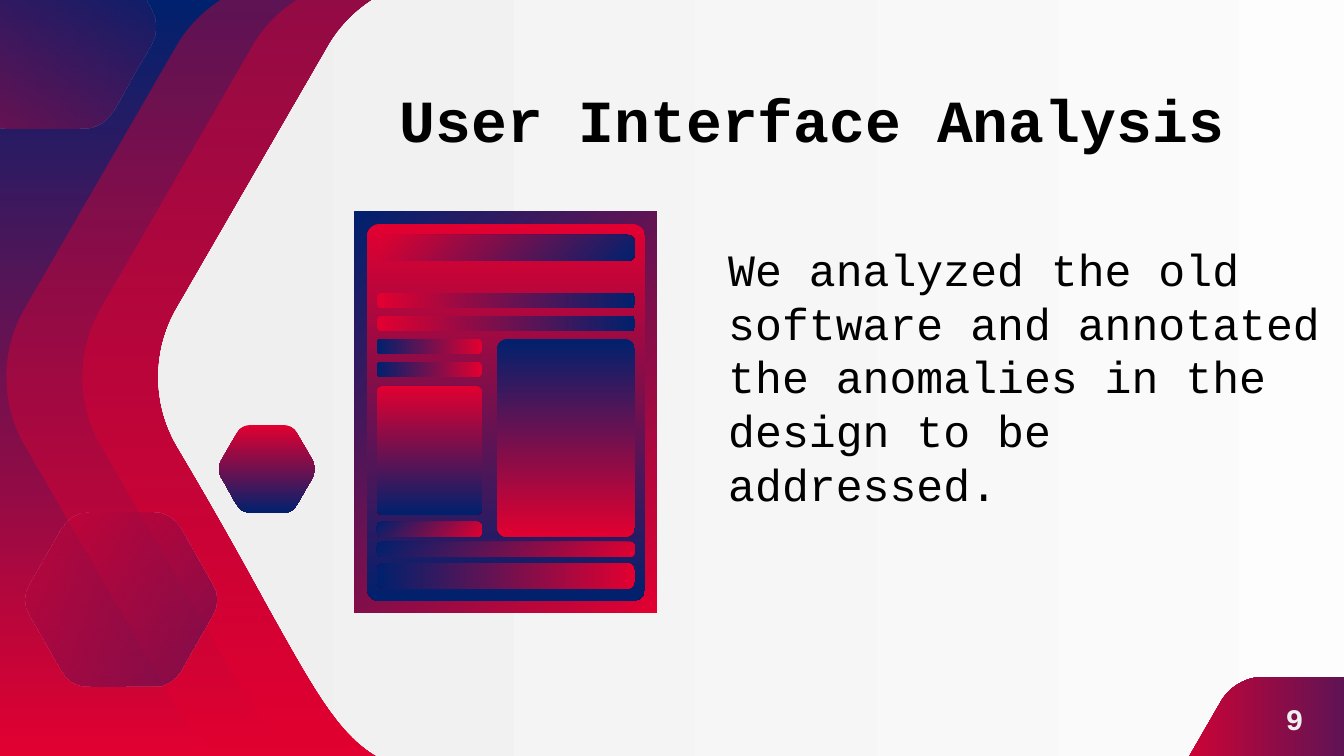
from lxml.etree import SubElement
from pptx import Presentation
from pptx.dml.color import RGBColor
from pptx.enum.shapes import MSO_SHAPE
from pptx.enum.text import MSO_ANCHOR, MSO_AUTO_SIZE, PP_ALIGN
from pptx.oxml.ns import qn
from pptx.util import Pt

PX = 9144000 / 1344
RED, BLUE = "E20030", "00216E"
WHITE, GREY = "FFFFFF", "EFEFEF"

# Rounded hexagon in a 661 x 594 box: one point draws a line, three a curve.
HEXAGON_START = (220, 0)
HEXAGON_SEGMENTS = [
    [(183, 0), (148, 20), (130, 53)],
    [(19, 245)],
    [(0, 277), (0, 317), (19, 349)],
    [(47, 396), (68, 434), (85, 465)],
    [(149, 580), (157, 594), (260, 594)],
    [(274, 594), (289, 594), (307, 594)],
    [(330, 593), (357, 593), (388, 593)],
    [(405, 593), (422, 593), (441, 593)],
    [(478, 593), (513, 573), (531, 541)],
    [(642, 349)],
    [(661, 317), (661, 277), (642, 245)],
    [(531, 53)],
    [(513, 20), (478, 0), (441, 0)],
]


def emu(*pixels):
    return [round(value * PX) for value in pixels]


def paint(shape, colors, angle=0, opacities=()):
    """Fill with one colour or a two-colour gradient, angle clockwise."""
    shape.shadow.inherit = False
    shape.line.fill.background()
    if len(colors) == 1:
        shape.fill.solid()
        shape.fill.fore_color.rgb = RGBColor.from_string(colors[0])
    else:
        shape.fill.gradient()
        shape.fill.gradient_angle = (360 - angle) % 360
        for stop, color in zip(shape.fill.gradient_stops, colors):
            stop.color.rgb = RGBColor.from_string(color)
    color_elements = shape._element.spPr.iter(qn("a:srgbClr"))
    for element, opacity in zip(list(color_elements), opacities):
        SubElement(element, qn("a:alpha"), val=str(opacity * 1000))


presentation = Presentation()
presentation.slide_width, presentation.slide_height = emu(1344, 756)
slide = presentation.slides.add_slide(presentation.slide_layouts[5])

background = slide.background.fill
background.gradient()
background.gradient_angle = 270
for stop, color in zip(background.gradient_stops, (BLUE, RED)):
    stop.color.rgb = RGBColor.from_string(color)

# left, top, width, height, mirrored, colours, angle, opacities
hexagons = [
    (0, -22, 888, 798, True, (RED,), 0, (41,)),
    (76, -22, 888, 798, True, (RED,), 0, (41,)),
    (152, -22, 1449, 798, False, (WHITE, GREY), 180, ()),
    (24, 513, 194, 174, False, (RED, BLUE), 45, (43, 40)),
    (-71, -75, 228, 204, True, (RED, BLUE), 315, (43, 40)),
    (218, 425, 98, 88, False, (RED, BLUE), 90, ()),
    (1157, 677, 322, 289, False, (RED, BLUE), 0, ()),
]
outline = [HEXAGON_START] + [point for segment in HEXAGON_SEGMENTS for point in segment]
for left, top, width, height, mirrored, colors, angle, opacities in hexagons:
    scale = height / 594
    stretch = width - 661 * scale
    points = []
    for x, y in outline:
        x = x * scale + (stretch if x > 280 else 0)
        points.append(emu(left + (width - x if mirrored else x), top + y * scale))
    builder = slide.shapes.build_freeform(*points[0], scale=1.0)
    builder.add_line_segments(points[1:], close=True)
    hexagon = builder.convert_to_shape()
    # Join each three lines of a curve into one Bézier segment
    lines = iter(list(hexagon._element.iter(qn("a:lnTo"))))
    for segment in HEXAGON_SEGMENTS:
        first, *others = [next(lines) for _ in segment]
        if others:
            first.tag = qn("a:cubicBezTo")
        for line in others:
            first.append(line[0])
            line.getparent().remove(line)
    paint(hexagon, colors, angle, opacities)

# Page mock-up: left, top, width, height, corner, colours, angle
FULL, NARROW, THIN, THICK = 258, 105, 15, 26
LEFT = 377
RED_BLUE, BLUE_RED = (RED, BLUE), (BLUE, RED)
blocks = [
    (355, 212, 302, 401, 0, RED_BLUE, 225),
    (367, 224, 278, 377, 0.045, RED_BLUE, 90),
    (LEFT, 235, FULL, THICK, 0.287, RED_BLUE, 45),
    (LEFT, 293, FULL, THIN, 0.287, RED_BLUE, 0),
    (LEFT, 316, FULL, THIN, 0.287, RED_BLUE, 0),
    (497, 339, 138, 198, 0.077, BLUE_RED, 90),
    (LEFT, 339, NARROW, THIN, 0.287, RED_BLUE, 180),
    (LEFT, 362, NARROW, THIN, 0.287, RED_BLUE, 180),
    (LEFT, 563, FULL, THICK, 0.287, RED_BLUE, 180),
    (LEFT, 542, FULL, THIN, 0.287, RED_BLUE, 225),
    (LEFT, 522, NARROW, THIN, 0.287, RED_BLUE, 225),
    (LEFT, 386, NARROW, 129, 0.057, RED_BLUE, 90),
]
mockup = slide.shapes.add_group_shape()
for *box, corner, colors, angle in blocks:
    kind = MSO_SHAPE.ROUNDED_RECTANGLE if corner else MSO_SHAPE.RECTANGLE
    block = mockup.shapes.add_shape(kind, *emu(*box))
    if corner:
        block.adjustments[0] = corner
    paint(block, colors, angle)

# Texts, with the title brought in front of the hexagons
title = slide.shapes.title
slide.shapes._spTree.append(title._element)
title.left, title.top, title.width, title.height = emu(305, 79, 933, 79)
number = slide.shapes.add_textbox(*emu(1246, 677, 97, 83))
body = slide.shapes.add_textbox(*emu(715, 235, 629, 339))

inset = emu(13)[0]
equal_insets = dict(margin_left=inset, margin_right=inset, margin_top=inset,
                    margin_bottom=inset, vertical_anchor=MSO_ANCHOR.MIDDLE,
                    auto_size=MSO_AUTO_SIZE.NONE)
texts = [
    (title, "User Interface Analysis", "000000", equal_insets,
     dict(alignment=PP_ALIGN.RIGHT), dict(size=Pt(32), bold=True)),
    (number, "9", GREY, equal_insets,
     dict(alignment=PP_ALIGN.CENTER), dict(size=Pt(16), bold=True)),
    (body, "We analyzed the old software and annotated the anomalies "
           "in the design to be addressed.", "000000",
     dict(auto_size=MSO_AUTO_SIZE.SHAPE_TO_FIT_TEXT),
     dict(alignment=PP_ALIGN.LEFT), dict(size=Pt(24))),
]
for shape, text, color, frame_format, paragraph_format, font_format in texts:
    frame = shape.text_frame
    frame.word_wrap = True
    paragraph = frame.paragraphs[0]
    run = paragraph.add_run()
    run.text = text
    run.font.name = "Courier New"
    run.font.color.rgb = RGBColor.from_string(color)
    for target, values in ((frame, frame_format), (paragraph, paragraph_format),
                           (run.font, font_format)):
        for name, value in values.items():
            setattr(target, name, value)

presentation.save("out.pptx")
